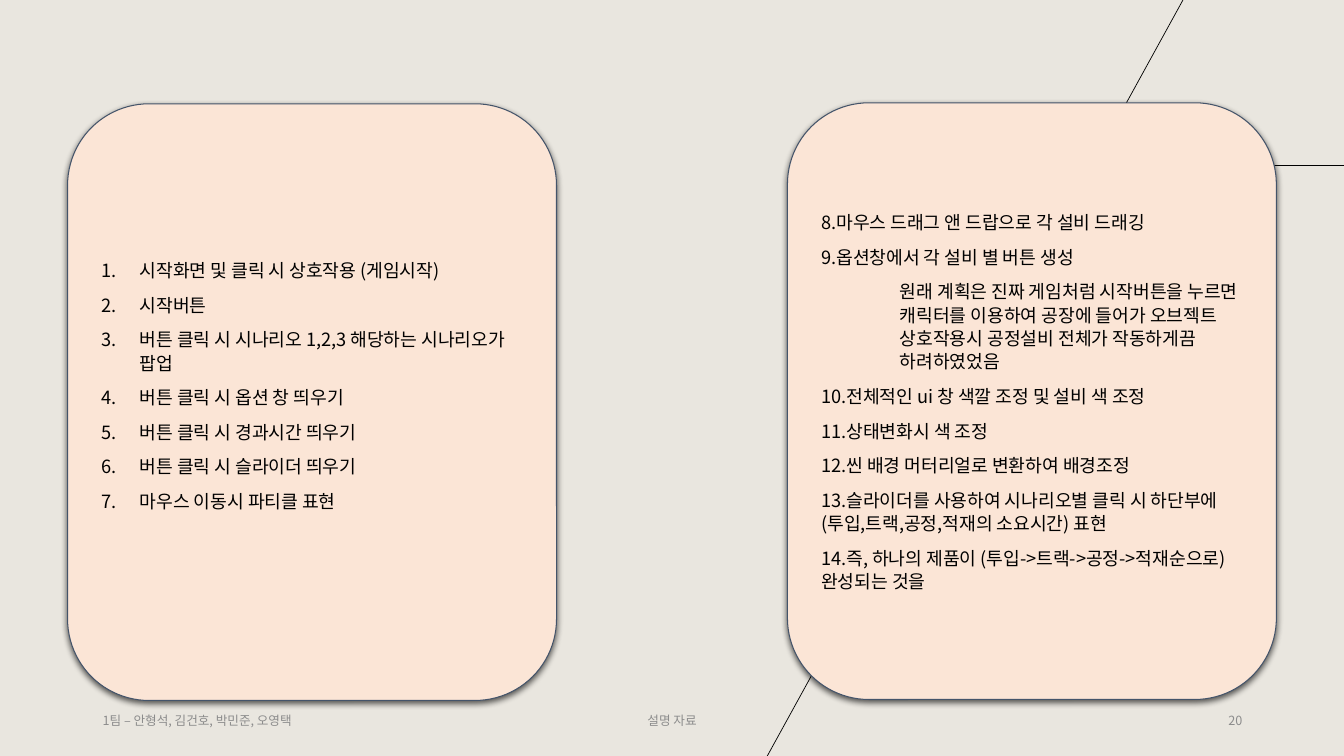
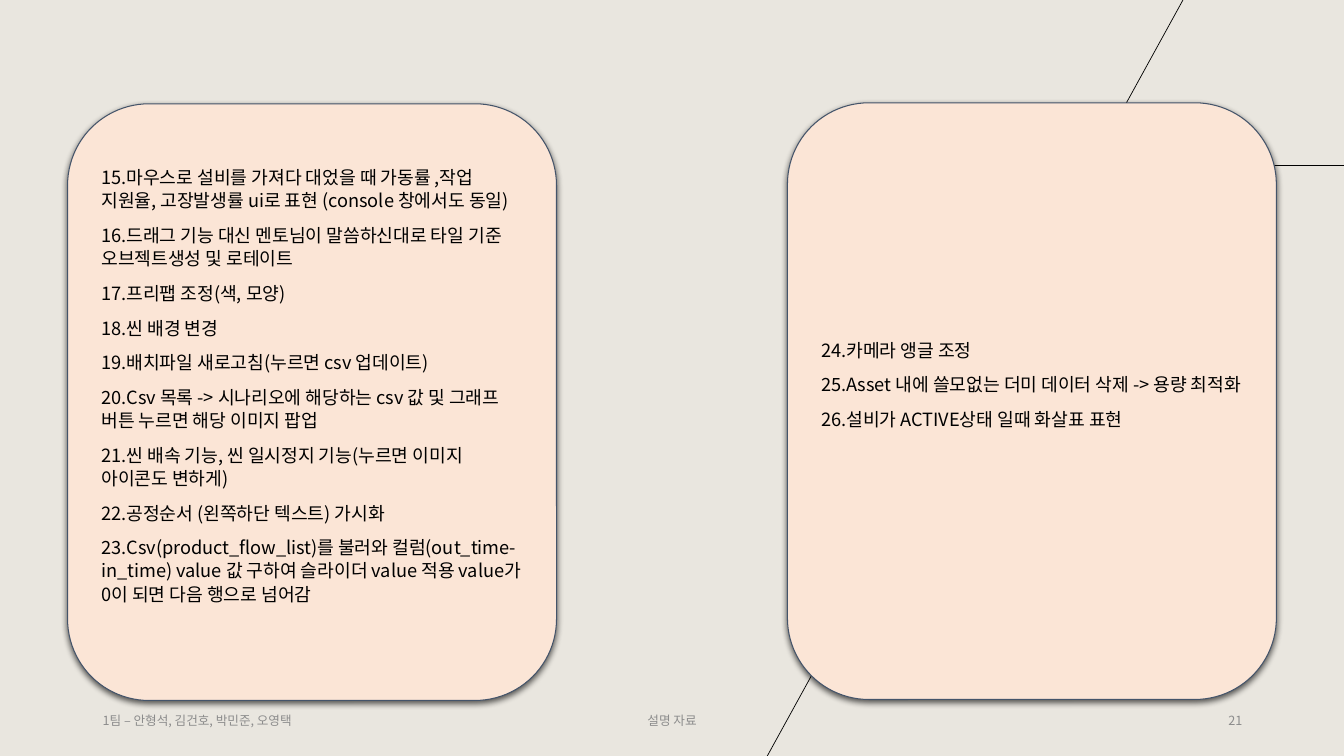
from lxml.etree import SubElement
from pptx import Presentation
from pptx.dml.color import RGBColor
from pptx.enum.shapes import MSO_CONNECTOR, MSO_SHAPE
from pptx.enum.text import MSO_ANCHOR, PP_ALIGN
from pptx.oxml.ns import qn
from pptx.util import Inches, Pt

FONT = "Noto Sans CJK KR"
PAPER, PEACH, NAVY, BLACK, GRAY = "E9E6DF", "FBE5D6", "44546A", "000000", "8C8C8C"
rgb = RGBColor.from_string

deck = Presentation()
deck.slide_width, deck.slide_height = Inches(13.33), Inches(7.5)
fill = deck.slide_master.background.fill
fill.solid()
fill.fore_color.rgb = rgb(PAPER)


def grid(*parts):
    """Turn x, y pairs in percent of the slide into lengths."""
    sides = (deck.slide_width, deck.slide_height)
    return [round(sides[i % 2] * part / 100) for i, part in enumerate(parts)]


def write(para, text, size, color):
    run = para.add_run()
    run.text = text
    run.font.size = Pt(size)
    run.font.color.rgb = rgb(color)
    run.font.name = FONT
    SubElement(run._r.get_or_add_rPr(), qn("a:ea"), typeface=FONT)


# Percent of the slide: x1, y1, x2, y2
LINES = [(74.64, 21.87, 100, 21.87), (88.02, 0, 57.09, 100)]
# Text, left, width, alignment; an empty text takes the slide number
FOOTERS = [
    ("1팀 – 안형석, 김건호, 박민준, 오영택", 6.9, 22.5, PP_ALIGN.LEFT),
    ("설명 자료", 42.84, 14.33, PP_ALIGN.CENTER),
    ("", 70.67, 22.5, PP_ALIGN.RIGHT),
]
# Left and top of the two cards
SPOTS = [(5.03, 13.73), (58.59, 13.6)]

# Left margin and first-line indent in inches
STYLES = {"plain": (0, 0), "number": (0.38, -0.38), "note": (0.78, 0)}

# Each slide: its number and two cards; each card: bottom inset and paragraphs
SLIDES = [
    (20, [
        (0.39, [
            ("number", "시작화면 및 클릭 시 상호작용 (게임시작)"),
            ("number", "시작버튼"),
            ("number", "버튼 클릭 시 시나리오 1,2,3 해당하는 시나리오가 팝업"),
            ("number", "버튼 클릭 시 옵션 창 띄우기"),
            ("number", "버튼 클릭 시 경과시간 띄우기"),
            ("number", "버튼 클릭 시 슬라이더 띄우기"),
            ("number", "마우스 이동시 파티클 표현"),
        ]),
        (0.05, [
            ("plain", "8.마우스 드래그 앤 드랍으로 각 설비 드래깅"),
            ("plain", "9.옵션창에서 각 설비 별 버튼 생성"),
            ("note", "원래 계획은 진짜 게임처럼 시작버튼을 누르면 캐릭터를 이용하여 "
                     "공장에 들어가 오브젝트 상호작용시 공정설비 전체가 작동하게끔 하려하였었음"),
            ("plain", "10.전체적인 ui 창 색깔 조정 및 설비 색 조정"),
            ("plain", "11.상태변화시 색 조정"),
            ("plain", "12.씬 배경 머터리얼로 변환하여 배경조정"),
            ("plain", "13.슬라이더를 사용하여 시나리오별 클릭 시 하단부에"
                      "(투입,트랙,공정,적재의 소요시간) 표현"),
            ("plain", "14.즉, 하나의 제품이 (투입->트랙->공정->적재순으로) 완성되는 것을"),
        ]),
    ]),
    (21, [
        (0.39, [
            ("plain", "15.마우스로 설비를 가져다 대었을 때 가동률 ,작업 지원율, "
                      "고장발생률 ui로 표현 (console 창에서도 동일)"),
            ("plain", "16.드래그 기능 대신 멘토님이 말씀하신대로 타일 기준 오브젝트생성 및 로테이트"),
            ("plain", "17.프리팹 조정(색, 모양)"),
            ("plain", "18.씬 배경 변경"),
            ("plain", "19.배치파일 새로고침(누르면 csv 업데이트)"),
            ("plain", "20.Csv 목록 -> 시나리오에 해당하는 csv 값 및 그래프 버튼 누르면 해당 이미지 팝업"),
            ("plain", "21.씬 배속 기능, 씬 일시정지 기능(누르면 이미지 아이콘도 변하게)"),
            ("plain", "22.공정순서 (왼쪽하단 텍스트) 가시화"),
            ("plain", "23.Csv(product_flow_list)를 불러와 컬럼(out_time-in_time) value 값 구하여 "
                      "슬라이더 value 적용 value가 0이 되면 다음 행으로 넘어감"),
        ]),
        (0.39, [
            ("plain", "24.카메라 앵글 조정"),
            ("plain", "25.Asset 내에 쓸모없는 더미 데이터 삭제 -> 용량 최적화"),
            ("plain", "26.설비가 ACTIVE상태 일때 화살표 표현"),
        ]),
    ]),
]

for number, cards in SLIDES:
    slide = deck.slides.add_slide(deck.slide_layouts[6])
    shapes = slide.shapes

    for ends in LINES:
        line = shapes.add_connector(MSO_CONNECTOR.STRAIGHT, *grid(*ends))
        line.line.color.rgb = rgb(BLACK)
        line.line.width = Pt(0.5)
        SubElement(line._element.spPr, qn("a:effectLst"))

    for text, left, width, align in FOOTERS:
        frame = shapes.add_textbox(*grid(left, 92.67, width, 5.33)).text_frame
        frame.word_wrap = True
        frame.vertical_anchor = MSO_ANCHOR.MIDDLE
        para = frame.paragraphs[0]
        para.alignment = align
        write(para, text or str(number), 9, GRAY)

    for spot, (inset, items) in zip(SPOTS, cards):
        card = shapes.add_shape(MSO_SHAPE.ROUNDED_RECTANGLE, *grid(*spot, 36.38, 78.93))
        card.fill.solid()
        card.fill.fore_color.rgb = rgb(PEACH)
        card.line.color.rgb = rgb(NAVY)
        card.line.width = Pt(0.75)
        card.shadow.inherit = False
        glow = SubElement(card._element.spPr.find(qn("a:effectLst")), qn("a:outerShdw"),
                          blurRad=str(Pt(4.5)), dist=str(Pt(1.5)), dir="5400000",
                          algn="ctr", rotWithShape="0")
        tone = SubElement(glow, qn("a:srgbClr"), val=BLACK)
        SubElement(tone, qn("a:alpha"), val="63000")

        frame = card.text_frame
        frame.word_wrap = True
        frame.vertical_anchor = MSO_ANCHOR.MIDDLE
        frame.margin_bottom = Inches(inset)
        for row, (style, text) in enumerate(items):
            para = frame.add_paragraph() if row else frame.paragraphs[0]
            para.alignment = PP_ALIGN.LEFT
            para.line_spacing = 1.07
            para.space_after = Pt(8)
            margin, indent = STYLES[style]
            props = para._p.get_or_add_pPr()
            props.set("marL", str(Inches(margin)))
            props.set("indent", str(Inches(indent)))
            if style == "number":
                SubElement(props, qn("a:buFont"), typeface="+mj-lt")
                SubElement(props, qn("a:buAutoNum"), type="arabicPeriod")
            write(para, text, 13, BLACK)

deck.save("out.pptx")
